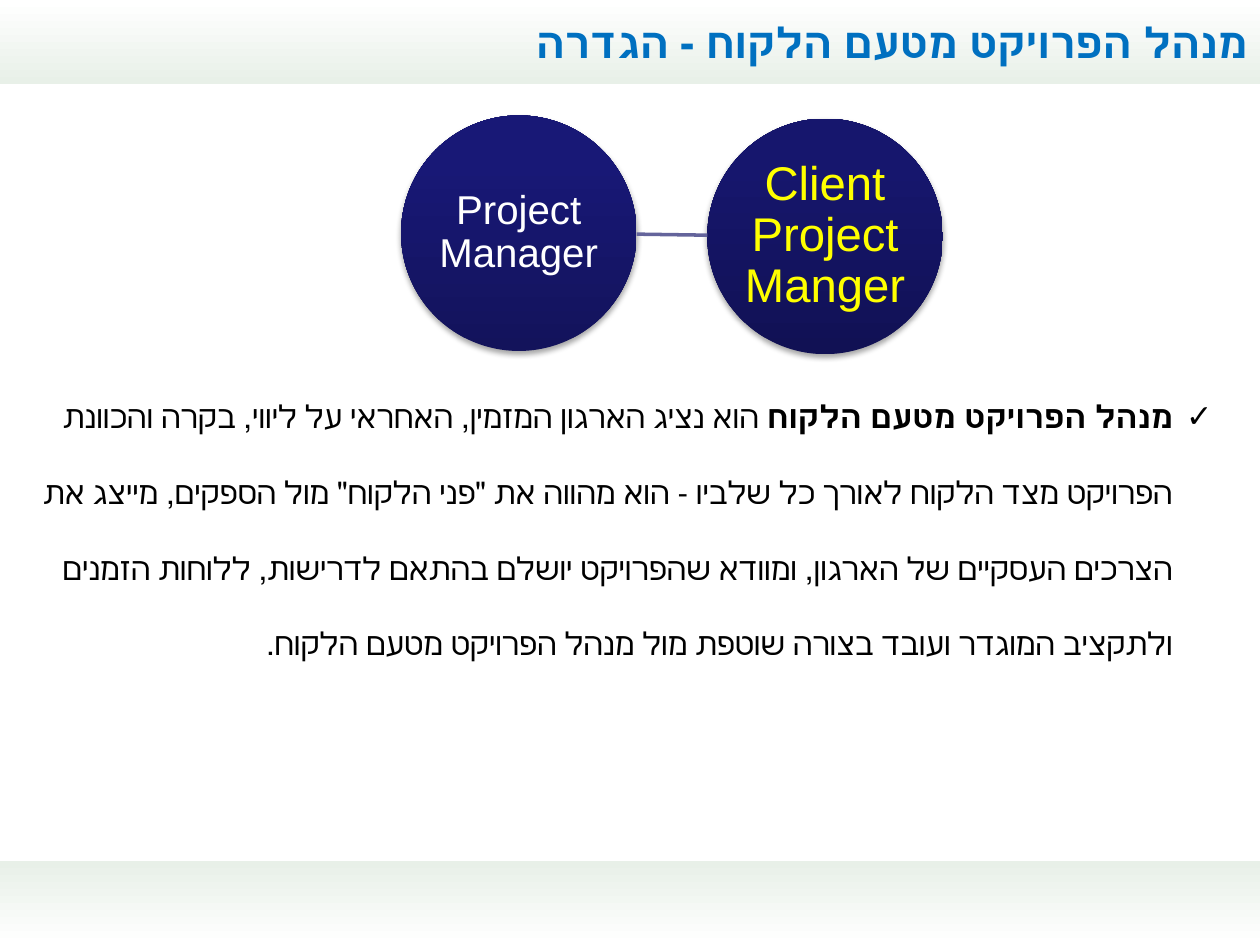
from lxml import etree
from pptx import Presentation, util as u
from pptx.dml.color import RGBColor
from pptx.enum import shapes, text
from pptx.oxml.ns import qn

Pt = u.Pt
W, H, BAND, D = 720, 540, 48, 134.6
C = dict(title="0070C0", ink="000000", white="FFFFFF", mint="E8F0E8",
         yellow="FFFF00", link="64649B")
TITLE = "מנהל הפרויקט מטעם הלקוח - הגדרה"
BODY = [
    ("מנהל הפרויקט מטעם הלקוח", True),
    (" הוא נציג הארגון המזמין, האחראי על ליווי, בקרה והכוונת הפרויקט מצד הלקוח לאורך כל שלביו"
     " - הוא מהווה את \"פני הלקוח\" מול הספקים, מייצג את הצרכים העסקיים של הארגון, ומוודא"
     " שהפרויקט יושלם בהתאם לדרישות, ללוחות הזמנים ולתקציב המוגדר ועובד בצורה שוטפת"
     " מול מנהל הפרויקט מטעם הלקוח.", False),
]
BANDS = [(H - BAND, [(0, C["mint"]), (100, C["white"])]),
         (0, [(0, C["white"]), (100, C["mint"])])]
ROLES = [
    ("Project Manager", 229.2, 66, 23, "white", [(0, "13135B"), (80, "181876"), (100, "161678")]),
    ("Client Project Manger", 404.2, 67.8, 27, "yellow",
     [(0, "111154"), (80, "16166D"), (100, "15156F")]),
]


def add(parent, tag, **attrs):
    return etree.SubElement(parent, qn(tag), {k: str(v) for k, v in attrs.items()})


def shape(kind, x, y, w, h, stops, angle):
    sp = s.shapes.add_shape(kind, Pt(x), Pt(y), Pt(w), Pt(h))
    sp.shadow.inherit = False
    sp.line.fill.background()
    sp.fill.gradient()
    grad = sp._element.spPr.find(qn("a:gradFill"))
    for child in list(grad):
        grad.remove(child)
    stop_list = add(grad, "a:gsLst")
    for pos, color in stops:
        add(add(stop_list, "a:gs", pos=pos * 1000), "a:srgbClr", val=color)
    add(grad, "a:lin", ang=angle * 60000, scaled=0)
    return sp


def write(sp, runs, size, color, align, rtl=False, inset=7.2, top=3.6, spacing=None,
          anchor=text.MSO_ANCHOR.MIDDLE):
    tf = sp.text_frame
    tf.word_wrap = True
    tf.vertical_anchor = anchor
    tf.margin_left = tf.margin_right = Pt(inset)
    tf.margin_top, tf.margin_bottom = Pt(top), Pt(min(inset, 3.6))
    p = tf.paragraphs[0]
    p.alignment = align
    if spacing:
        p.line_spacing = spacing
    if rtl:
        p._p.get_or_add_pPr().set("rtl", "1")
    for words, bold in runs:
        r = p.add_run()
        r.text = words
        f = r.font
        f.name, f.size, f.bold = "Arial", Pt(size), bold
        f.color.rgb = RGBColor.from_string(C[color])
    return p


prs = Presentation()
prs.slide_width, prs.slide_height = Pt(W), Pt(H)
s = prs.slides.add_slide(prs.slide_layouts[6])
S, A = shapes.MSO_SHAPE, text.PP_ALIGN

for y, stops in BANDS:
    band = shape(S.RECTANGLE, 0, y, W, BAND, stops, 90)
write(band, [(TITLE, True)], 24, "title", A.RIGHT, rtl=True)

box = s.shapes.add_textbox(Pt(-2), Pt(159), Pt(702), Pt(286.6))
p = write(box, BODY, 18, "ink", A.RIGHT, rtl=True, top=46.5, spacing=2,
          anchor=text.MSO_ANCHOR.TOP)
pPr = p._p.get_or_add_pPr()
pPr.set("marR", "0")
pPr.set("marL", str(Pt(22.5)))
pPr.set("indent", str(Pt(-22.5)))
add(pPr, "a:buFont", typeface="Arial")
add(pPr, "a:buChar", char="✓")

for name, x, y, size, color, stops in ROLES:
    circle = shape(S.OVAL, x, y, D, D, stops, 270)
    effects = circle._element.spPr.find(qn("a:effectLst"))
    shadow = add(effects, "a:outerShdw", blurRad=Pt(3.1), dist=Pt(1.8), dir=5400000, rotWithShape=0)
    add(add(shadow, "a:srgbClr", val=C["ink"]), "a:alpha", val=35000)
    write(circle, [(name, False)], size, color, A.CENTER, inset=1.44, top=1.44, spacing=0.9)

(_, x1, *_), (_, x2, *_) = ROLES
link = s.shapes.add_connector(shapes.MSO_CONNECTOR.STRAIGHT, Pt(x1 + D), Pt(133.8),
                              Pt(x2), Pt(134.4))
link.line.width = Pt(2)
link.line.color.rgb = RGBColor.from_string(C["link"])
add(link._element.spPr, "a:effectLst")

prs.save("out.pptx")
